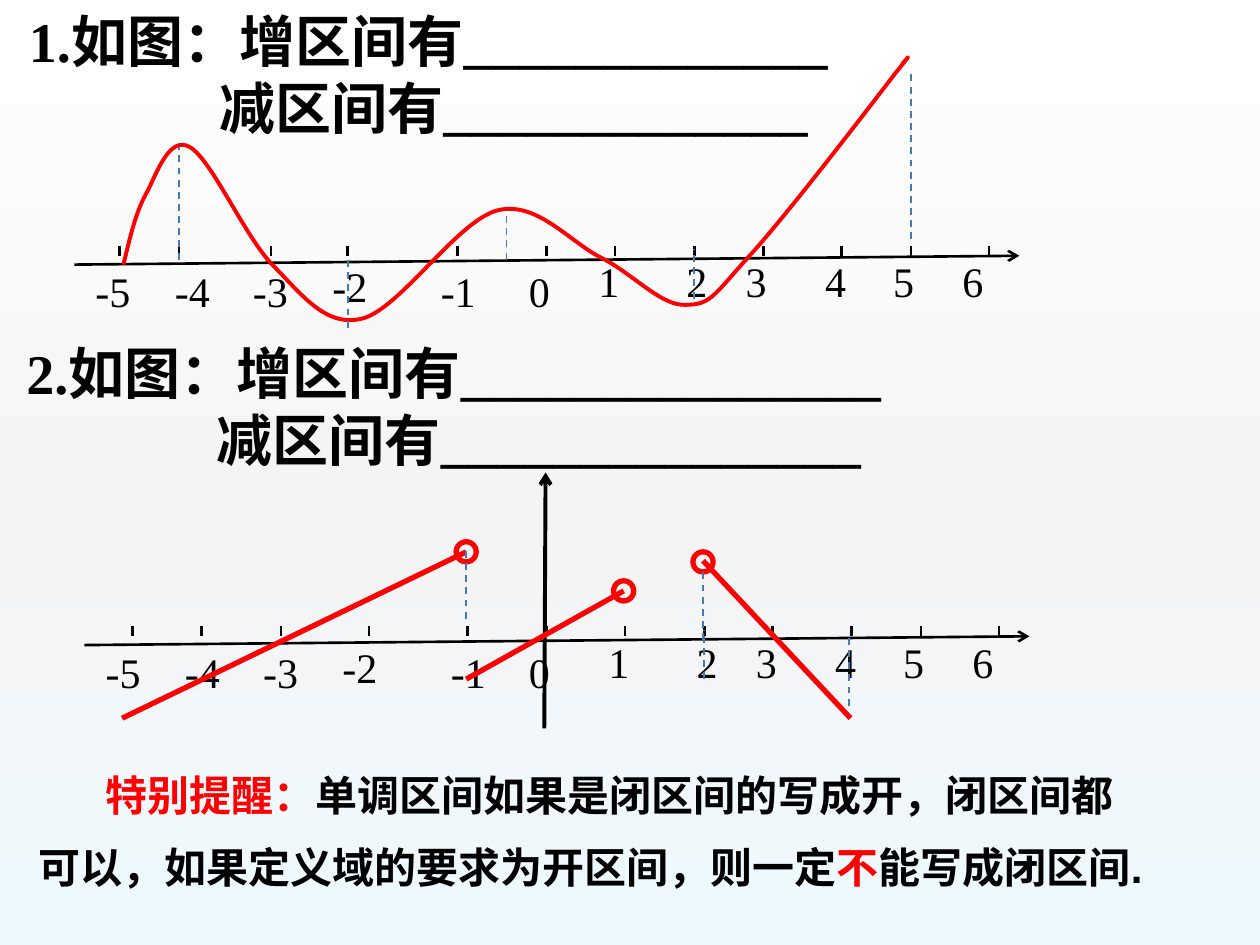
from copy import deepcopy
from pptx import Presentation, util as u
from pptx.dml.color import RGBColor
from pptx.enum import dml, shapes as sh, text as tx
from pptx.oxml import ns, xmlchemy as xc

BLACK = RGBColor(0, 0, 0)
RED = RGBColor(255, 0, 0)
BLUE = RGBColor(0x47, 0x7A, 0xB1)
SKY = [(0, RGBColor(255, 255, 255)), (0.55, RGBColor(0xF4, 0xF4, 0xF4)),
       (1, RGBColor(0xEE, 0xF9, 0xFF))]
SERIF, SANS = "Times New Roman", "Arial"

# Content
ASK1 = ["1.如图：增区间有_____________", "减区间有_____________"]
ASK2 = ["2.如图：增区间有_______________", "减区间有_______________"]
NOTE = [[("特别提醒：", RED), ("单调区间如果是闭区间的写成开，闭区间都", BLACK)],
        [("可以，如果定义域的要求为开区间，则一定", BLACK), ("不", RED),
         ("能写成闭区间.", BLACK)]]

# Axes: tick positions and label offsets for -5 to 6, in inches
NUMS = range(-5, 7)
TICKS1 = [0.95, 1.42, 2.15, 2.76, 3.63, 4.34, 4.88, 5.51, 6.06, 6.68, 7.23, 7.85]
TICKS2 = [1.05, 1.6, 2.23, 2.93, 3.71, 4.34, 4.96, 5.59, 6.13, 6.76, 7.31, 7.93]
LABELS = [0.66, 1.29, 1.91, 2.54, 3.4, 4.1, 4.65, 5.35, 5.82, 6.45, 6.99, 7.54]
DROP = 3.02   # second axis below the first
SHIFT = 0.08  # second axis to the right of the first

# Curve in hundredths of an inch: start, then two controls and an end per arc
CURVE = [(98, 210),
         (103, 189), (108, 167), (117, 152),
         (125, 136), (135, 107), (151, 117),
         (168, 127), (194, 187), (216, 210),
         (239, 233), (258, 260), (287, 253),
         (317, 246), (363, 175), (395, 167),
         (426, 159), (453, 193), (478, 205),
         (503, 218), (525, 243), (544, 242),
         (564, 242), (566, 235), (594, 204),
         (622, 174), (690, 85), (710, 59),
         (730, 34), (716, 51), (716, 51)]
DASH1 = [(7.23, 1.9, 0.57), (2.76, 2.6, 2.06), (1.42, 2.06, 1.17),
         (4.02, 2.06, 1.67), (5.51, 2.37, 1.98)]
DASH2 = [(3.7, 4.91, 4.37), (5.59, 5.39, 5), (5.58, 5.08, 4.53), (6.74, 5.6, 5.05)]
# Segments: ends, then the open end
PARTS = [((0.97, 5.7), (3.7, 4.38), (3.7, 4.38)),
         ((3.7, 5.39), (4.95, 4.69), (4.95, 4.69)),
         ((5.58, 4.45), (6.75, 5.7), (5.58, 4.46))]
RING = 0.16


def inch(*vals):
    return [u.Inches(v) for v in vals]


def line(to, a, b, color=BLACK, width=1.5, dash=False, arrow=False):
    c = to.add_connector(sh.MSO_CONNECTOR.STRAIGHT, *inch(*a, *b))
    c.line.color.rgb = color
    c.line.width = u.Pt(width)
    if dash:
        c.line.dash_style = dml.MSO_LINE.DASH
    props = c._element.spPr
    if arrow:
        tail = xc.OxmlElement("a:tailEnd")
        tail.set("type", "arrow")
        props.find(ns.qn("a:ln")).append(tail)
    props.append(xc.OxmlElement("a:effectLst"))


def style(run, size, color=BLACK, face=SERIF, bold=False):
    f = run.font
    f.size, f.name, f.bold = u.Pt(size), face, bold
    f.color.rgb = color


def ask(box, rows):
    """Fill a two-line question, the second line set in."""
    frame = box.text_frame
    frame.word_wrap = True
    frame.auto_size = tx.MSO_AUTO_SIZE.NONE
    frame.vertical_anchor = tx.MSO_ANCHOR.BOTTOM
    frame.margin_left = frame.margin_right = frame.margin_bottom = 0
    frame.margin_top = u.Inches(0.05)
    frame.text = "\n".join(rows)
    for para, pad in zip(frame.paragraphs, (0, 1.51)):
        props = para._p.get_or_add_pPr()
        props.set("marL", "0")
        props.set("indent", str(u.Inches(pad)))
        para.alignment = tx.PP_ALIGN.LEFT
        style(para.runs[0], 32, bold=True)


def axis(to, ticks, dx, dy):
    """Draw a number line with its ticks and labels."""
    line(to, (0.59 + dx, 2.1 + dy), (8.09 + dx, 2.03 + dy), arrow=True)
    for num, x, left in zip(NUMS, ticks, LABELS):
        line(to, (x, 1.95 + dy), (x, 2.03 + dy))
        top = 1.98 if num > 0 else 2.02 if num == -2 else 2.06
        box = to.add_textbox(*inch(left + (dx if num else 0), top + dy, 0.63, 0.5))
        box.text_frame.word_wrap = True
        box.text_frame.text = str(num)
        style(box.text_frame.paragraphs[0].runs[0], 24)


def wave(to):
    """Outline the points, then turn each three into one arc."""
    pen = to.build_freeform(*CURVE[0], scale=u.Inches(0.01))
    pen.add_line_segments(CURVE[1:], close=False)
    free = pen.convert_to_shape()
    free.shadow.inherit = False
    free.fill.background()
    free.line.color.rgb = RED
    free.line.width = u.Pt(2.25)
    steps = free._element.findall(".//" + ns.qn("a:lnTo"))
    for i in range(0, len(steps), 3):
        arc = xc.OxmlElement("a:cubicBezTo")
        steps[i].addprevious(arc)
        for step in steps[i:i + 3]:
            arc.append(step[0])
            step.getparent().remove(step)


def main():
    prs = Presentation()
    prs.slide_width, prs.slide_height = inch(10, 7.5)
    slide = prs.slides.add_slide(prs.slide_layouts[5])
    items = slide.shapes

    # Background
    fill = slide.background.fill
    fill.gradient()
    fill.gradient_angle = 270
    stops = slide._element.find(".//" + ns.qn("a:gsLst"))
    stops.append(deepcopy(stops[-1]))
    for stop, (pos, color) in zip(fill.gradient_stops, SKY):
        stop.position = pos
        stop.color.rgb = color

    # Questions
    head = items.title
    head.left, head.top, head.width, head.height = inch(0.23, 0, 8.07, 1.12)
    ask(head, ASK1)
    ask(items.add_textbox(*inch(0.21, 2.73, 7.96, 1.02)), ASK2)

    # First graph
    one = items.add_group_shape().shapes
    axis(one, TICKS1, 0, 0)
    wave(one)

    # Second graph
    two = items.add_group_shape().shapes
    axis(two, TICKS2, SHIFT, DROP)
    line(two, (4.32, 5.78), (4.33, 3.75), width=2.25, arrow=True)
    for a, b, (x, y) in PARTS:
        line(two, a, b, RED, 3)
        ring = two.add_shape(sh.MSO_SHAPE.OVAL,
                             *inch(x - RING / 2, y - RING / 2, RING, RING))
        ring.shadow.inherit = False
        ring.fill.background()
        ring.line.color.rgb = RED
        ring.line.width = u.Pt(3)

    # Guides
    for to, rows in ((one, DASH1), (two, DASH2)):
        for x, low, high in rows:
            line(to, (x, low), (x, high), BLUE, 1, dash=True)

    # Reminder
    frame = items.add_textbox(*inch(0.21, 6.06, 9.25, 1.11)).text_frame
    frame.word_wrap = True
    for i, row in enumerate(NOTE):
        para = frame.add_paragraph() if i else frame.paragraphs[0]
        if i:
            para.space_before = u.Pt(12)
        else:
            para._p.get_or_add_pPr().set("indent", str(u.Inches(0.53)))
        for words, color in row:
            run = para.add_run()
            run.text = words
            style(run, 24, color, SANS, True)

    prs.save("out.pptx")


if __name__ == "__main__":
    main()
